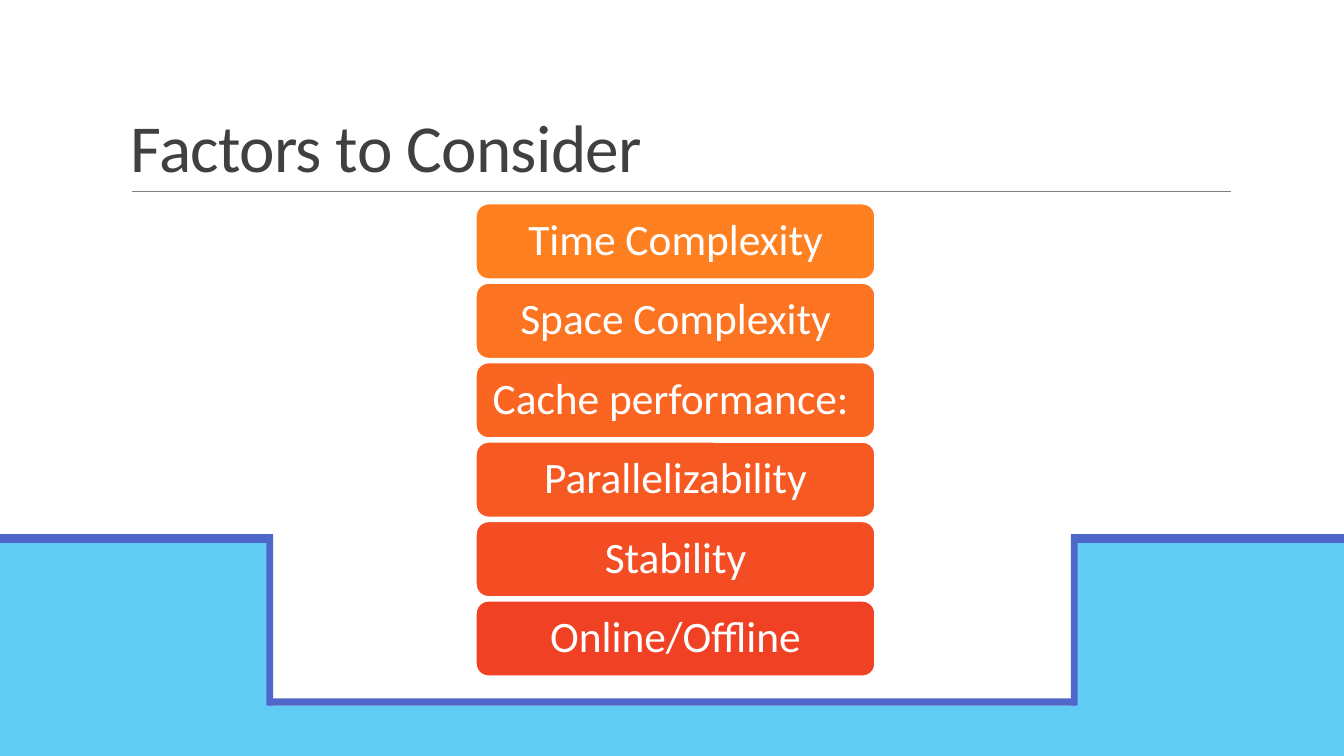
import pptx
import pptx.util
import pptx.dml.color
import pptx.enum.shapes
import pptx.enum.text
import pptx.oxml.ns
import lxml.etree

Inches = pptx.util.Inches
Pt = pptx.util.Pt
RGBColor = pptx.dml.color.RGBColor
MSO_SHAPE = pptx.enum.shapes.MSO_SHAPE
ANCHOR = pptx.enum.text.MSO_ANCHOR
ALIGN = pptx.enum.text.PP_ALIGN

# Content
TITLE = "Factors to Consider"
FACTORS = [
    ("Time Complexity", RGBColor(0xFF, 0x80, 0x21)),
    ("Space Complexity", RGBColor(0xFC, 0x73, 0x21)),
    ("Cache performance: ", RGBColor(0xFA, 0x66, 0x22)),
    ("Parallelizability", RGBColor(0xF7, 0x59, 0x23)),
    ("Stability", RGBColor(0xF4, 0x4D, 0x23)),
    ("Online/Offline", RGBColor(0xF1, 0x41, 0x24)),
]

# Style
FONT = "Calibri"
WHITE = RGBColor(0xFF, 0xFF, 0xFF)
DARK = RGBColor(0x40, 0x40, 0x40)
GRAY = RGBColor(0x80, 0x80, 0x80)
SKY = RGBColor(0x5E, 0xCC, 0xF3)
INDIGO = RGBColor(0x4E, 0x67, 0xC8)

# Layout in inches
WIDTH, HEIGHT = 13.33, 7.5
FLOOR_TOP, FLOOR_EDGE = 7, 0.07
BANK_TOP, BANK_WIDTH = 5.39, 2.66
EDGE_TOP, EDGE_WIDTH = 5.3, 2.71
BOX_LEFT, BOX_TOP, BOX_WIDTH, BOX_HEIGHT = 4.72, 2.02, 3.96, 0.75
LAST_BOX_TOP = 5.96
BOX_PITCH = (LAST_BOX_TOP - BOX_TOP) / (len(FACTORS) - 1)

presentation = pptx.Presentation()
presentation.slide_width = Inches(WIDTH)
presentation.slide_height = Inches(HEIGHT)
slide = presentation.slides.add_slide(presentation.slide_layouts[6])


def add_block(kind, left, top, width, height, fill, line=None):
    shape = slide.shapes.add_shape(
        kind, Inches(left), Inches(top), Inches(width), Inches(height))
    shape.shadow.inherit = False
    shape.fill.solid()
    shape.fill.fore_color.rgb = fill
    if line is None:
        shape.line.fill.background()
    else:
        shape.line.color.rgb = line
        shape.line.width = Pt(1.25)
    return shape


def write(shape, text, size, color, anchor, alignment, spacing):
    frame = shape.text_frame
    frame.word_wrap = True
    frame.vertical_anchor = anchor
    paragraph = frame.paragraphs[0]
    paragraph.alignment = alignment
    paragraph.line_spacing = spacing
    run = paragraph.add_run()
    run.text = text
    run.font.name = FONT
    run.font.size = Pt(size)
    run.font.color.rgb = color
    return run


# Floor and its upper edge
add_block(MSO_SHAPE.RECTANGLE, 0, FLOOR_TOP, WIDTH, HEIGHT - FLOOR_TOP, SKY)
add_block(MSO_SHAPE.RECTANGLE, 0, FLOOR_TOP - FLOOR_EDGE, WIDTH, FLOOR_EDGE, INDIGO)

# Rule under the title
rule = slide.shapes.add_connector(
    pptx.enum.shapes.MSO_CONNECTOR.STRAIGHT,
    Inches(1.31), Inches(1.9), Inches(12.21), Inches(1.9))
rule.line.color.rgb = GRAY
rule.line.width = Pt(0.5)
lxml.etree.SubElement(rule._element.spPr, pptx.oxml.ns.qn("a:effectLst"))

# Raised banks, mirrored on the right
for mirrored in (True, False):
    bank_left = WIDTH - BANK_WIDTH if mirrored else 0
    edge_left = WIDTH - EDGE_WIDTH if mirrored else 0
    add_block(MSO_SHAPE.RECTANGLE, bank_left, BANK_TOP,
              BANK_WIDTH, HEIGHT - BANK_TOP, SKY, SKY)
    edge = add_block(MSO_SHAPE.CORNER, edge_left, EDGE_TOP,
                     EDGE_WIDTH, FLOOR_TOP - EDGE_TOP, INDIGO)
    edge.adjustments[0] = 0.05
    edge.adjustments[1] = 0.04
    edge.rotation = 180
    if mirrored:
        edge._element.spPr.find(pptx.oxml.ns.qn("a:xfrm")).set("flipH", "1")

# Title
title = slide.shapes.add_textbox(Inches(1.2), Inches(0.31), Inches(11), Inches(1.59))
title_run = write(title, TITLE, 48, DARK, ANCHOR.BOTTOM, ALIGN.LEFT, 0.85)
title_run.font._element.set("spc", "-50")

# Stack of factors
for row, (factor, color) in enumerate(FACTORS):
    box = add_block(MSO_SHAPE.ROUNDED_RECTANGLE, BOX_LEFT, BOX_TOP + row * BOX_PITCH,
                    BOX_WIDTH, BOX_HEIGHT, color, WHITE)
    frame = box.text_frame
    frame.margin_left = frame.margin_right = Inches(0.13)
    frame.margin_top = frame.margin_bottom = Inches(0.06)
    write(box, factor, 31, WHITE, ANCHOR.MIDDLE, ALIGN.CENTER, 0.9)

presentation.save("out.pptx")
